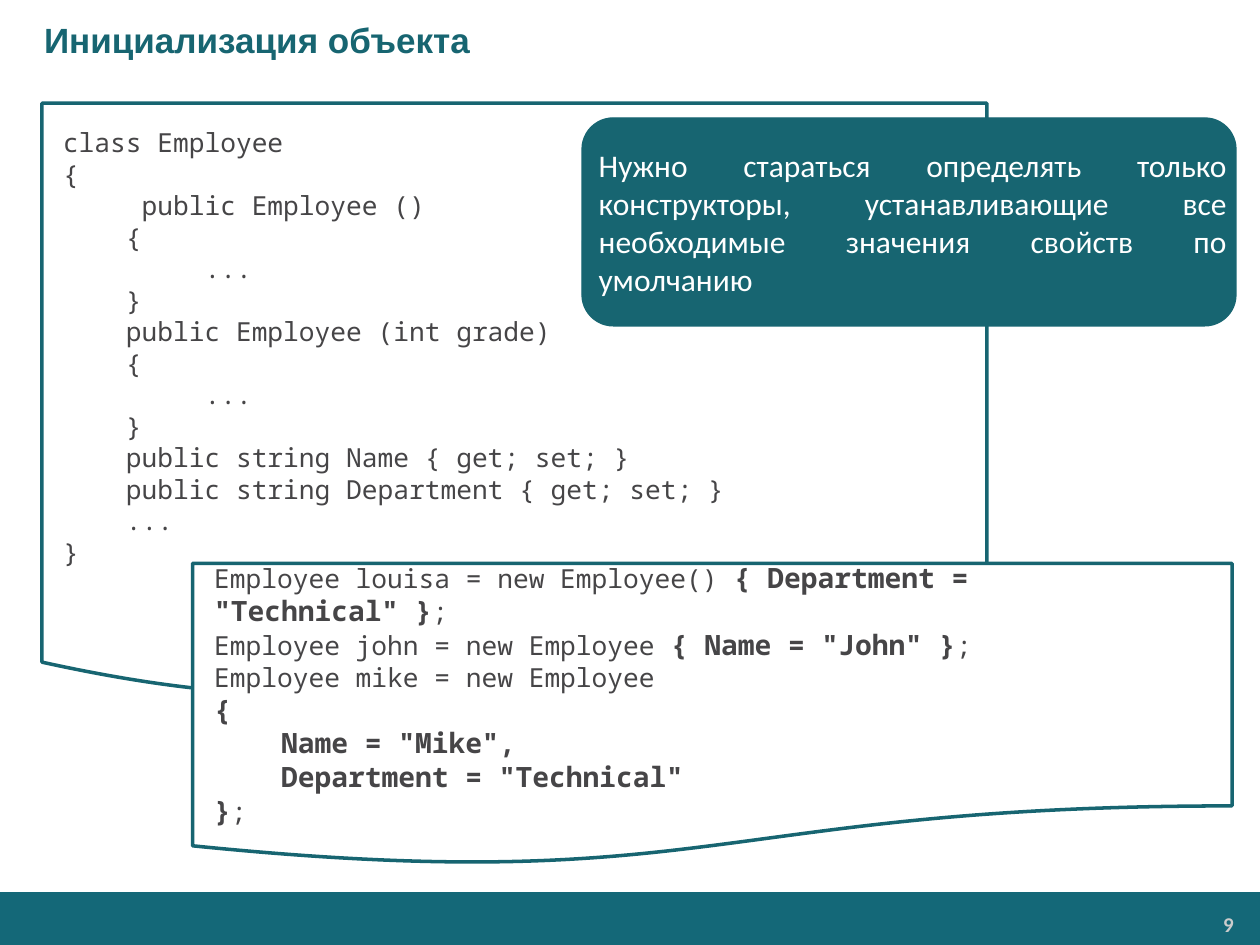
from dataclasses import dataclass

from pptx import Presentation
from pptx.dml.color import RGBColor
from pptx.enum.shapes import MSO_SHAPE
from pptx.enum.text import MSO_ANCHOR, PP_ALIGN
from pptx.util import Pt

TEAL, BAR, GREY, WHITE = "176571", "146878", "464547", "FFFFFF"


@dataclass
class Box:
    """A rectangle in points."""
    left: float
    top: float
    width: float
    height: float

    def place(self) -> tuple:
        """Return the four lengths."""
        return tuple(map(Pt, (self.left, self.top, self.width, self.height)))


@dataclass
class Font:
    """The look of a run."""
    name: str
    size: float
    color: str
    bold: bool = False


@dataclass
class Panel:
    """A code page with its text area and lines of runs."""
    page: Box
    area: Box
    lines: list


PLAIN = Font("Noto Sans Mono", 15, GREY)
STRONG = Font("Noto Sans Mono", 16, GREY, True)

CLASS = """class Employee
{
     public Employee ()
    {
         ...
    }
    public Employee (int grade)
    {
         ...
    }
    public string Name { get; set; }
    public string Department { get; set; }
    ...
}"""

USAGE = [
    [("Employee louisa = new Employee() ", PLAIN),
     ('{ Department = "Technical" }', STRONG), (";", PLAIN)],
    [("Employee john = new Employee ", PLAIN),
     ('{ Name = "John" }', STRONG), (";", PLAIN)],
    [("Employee mike = new Employee", PLAIN)],
    [("{", STRONG)],
    [('    Name = "Mike",', STRONG)],
    [('    Department = "Technical"', STRONG)],
    [("}", STRONG), (";", PLAIN)],
]

PANELS = [
    Panel(Box(24, 59, 540, 342), Box(36, 71.3, 516, 254),
          [[(line, PLAIN)] for line in CLASS.splitlines()]),
    Panel(Box(110, 322, 594, 172.8), Box(122.4, 329, 570, 134.6), USAGE),
]


def rgb(code: str) -> RGBColor:
    """Turn a hex string into a colour."""
    return RGBColor.from_string(code)


def write(shape, lines: list, align=PP_ALIGN.LEFT, left: float = 0,
          right: float = 0, anchor=MSO_ANCHOR.MIDDLE) -> None:
    """Fill a shape with lines of runs."""
    frame = shape.text_frame
    frame.word_wrap = True
    frame.vertical_anchor = anchor
    frame.margin_left, frame.margin_right = Pt(left), Pt(right)
    frame.margin_top = frame.margin_bottom = 0
    for row, line in enumerate(lines):
        para = frame.add_paragraph() if row else frame.paragraphs[0]
        para.alignment = align
        for text, font in line:
            run = para.add_run()
            run.text = text
            run.font.name = font.name
            run.font.size = Pt(font.size)
            run.font.bold = font.bold
            run.font.color.rgb = rgb(font.color)


def draw(slide, kind, box: Box, fill: str, line: str = "", width: float = 2):
    """Add a filled shape, outlined if a line colour is given."""
    shape = slide.shapes.add_shape(kind, *box.place())
    shape.shadow.inherit = False
    shape.fill.solid()
    shape.fill.fore_color.rgb = rgb(fill)
    if line:
        shape.line.color.rgb = rgb(line)
        shape.line.width = Pt(width)
    else:
        shape.line.fill.background()
    return shape


def label(slide, box: Box, lines: list, **style) -> None:
    """Add a text box."""
    write(slide.shapes.add_textbox(*box.place()), lines, **style)


def main() -> None:
    """Build the slide."""
    deck = Presentation()
    deck.slide_width, deck.slide_height = Pt(720), Pt(540)
    slide = deck.slides.add_slide(deck.slide_layouts[6])

    draw(slide, MSO_SHAPE.RECTANGLE, Box(0, 509.8, 720, 30.2), BAR)
    label(slide, Box(592.6, 517.7, 117.4, 20.2),
          [[("9", Font("Calibri", 12, "CCCCCC", True))]],
          align=PP_ALIGN.RIGHT, right=5)
    label(slide, Box(0, 0, 720, 45.4),
          [[("Инициализация объекта", Font("Arial", 20, TEAL, True))]],
          left=25.2)

    for panel in PANELS:
        draw(slide, MSO_SHAPE.FLOWCHART_DOCUMENT, panel.page, WHITE, TEAL)
        label(slide, panel.area, panel.lines)

    note = draw(slide, MSO_SHAPE.ROUNDED_RECTANGLE,
                Box(332.6, 67.4, 373.7, 118.8), TEAL, TEAL, 0.75)
    note.adjustments[0] = 0.15
    write(note, [[("Нужно стараться определять только конструкторы, "
                   "устанавливающие все необходимые значения свойств "
                   "по умолчанию", Font("Calibri", 18, WHITE))]],
          align=PP_ALIGN.JUSTIFY, left=4.3)

    deck.save("out.pptx")


if __name__ == "__main__":
    main()
